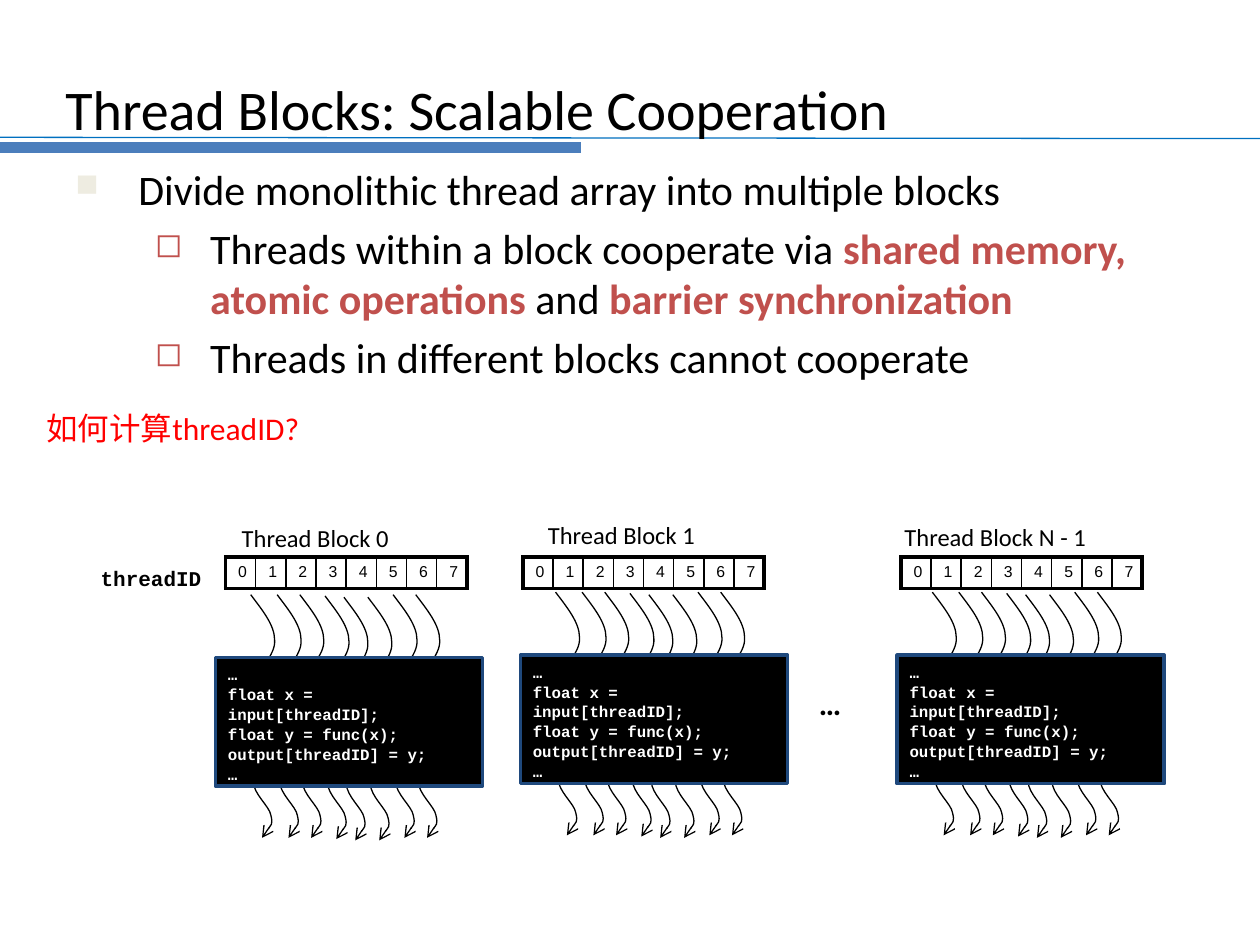
from dataclasses import dataclass

import pptx
import pptx.dml.color
import pptx.enum.shapes
import pptx.enum.text
import pptx.oxml.ns
import pptx.util
from lxml import etree

Inches = pptx.util.Inches
Pt = pptx.util.Pt
qn = pptx.oxml.ns.qn

BLACK, WHITE, RED, ACCENT = "000000", "FFFFFF", "FF0000", "C0504D"
THREADS = 8
CODE = "\n".join([
    "…",
    "float x = input[threadID];",
    "float y = func(x);",
    "output[threadID] = y;",
    "…",
])
THREAD_STARTS = [(0, 0), (0.21, 0), (0.39, 0), (0.59, 0.01),
                 (0.74, 0.02), (0.93, 0.02), (1.13, 0), (1.31, 0)]
THREAD_CURVE = [
    (0.09, 0.12), (0.19, 0.24), (0.19, 0.36),
    (0.2, 0.49), (0.04, 0.6), (0.03, 0.73),
    (0.02, 0.86), (0.16, 1.02), (0.16, 1.15),
    (0.15, 1.27), (0.01, 1.38), (0.02, 1.48),
    (0.02, 1.58), (0.15, 1.68), (0.16, 1.75),
    (0.18, 1.83), (0.11, 1.9), (0.09, 1.93),
]


@dataclass
class ThreadBlock:
    label: str
    label_left: float
    label_top: float
    ids_left: float
    code_left: float
    code_top: float


@dataclass
class Bullet:
    sign: str
    sign_color: str
    sign_size: int
    margin: float
    indent: float
    level: int
    phrases: list[tuple[str, bool]]


BLOCKS = [
    ThreadBlock("Thread Block 0", 1.82, 4.1, 1.79, 1.71, 5.22),
    ThreadBlock("Thread Block 1", 4.25, 4.08, 4.15, 4.13, 5.2),
    ThreadBlock("Thread Block N - 1", 7.08, 4.09, 7.15, 7.12, 5.2),
]


def main_point(text: str) -> Bullet:
    return Bullet("■", "EEECE1", 75, 0.5, -0.5, 0, [(text, False)])


def sub_point(*phrases: tuple[str, bool]) -> Bullet:
    return Bullet("◻", ACCENT, 80, 1.07, -0.44, 1, list(phrases))


BULLETS = [
    main_point("Divide monolithic thread array into multiple blocks"),
    sub_point(("Threads within a block cooperate via ", False),
              ("shared memory, atomic operations ", True),
              ("and ", False),
              ("barrier synchronization", True)),
    sub_point(("Threads in different blocks cannot cooperate", False)),
]


def rgb(color: str) -> pptx.dml.color.RGBColor:
    return pptx.dml.color.RGBColor.from_string(color)


def style(font, size: float, color: str, name: str = "Calibri", bold: bool = False) -> None:
    font.size, font.name, font.bold = Pt(size), name, bold
    font.color.rgb = rgb(color)


def add_text(slide, text: str, box: tuple, size: float, color: str = BLACK,
             name: str = "Calibri", bold: bool = False, wrap: bool = False):
    frame = slide.shapes.add_textbox(*map(Inches, box)).text_frame
    frame.word_wrap = wrap
    frame.text = text
    style(frame.paragraphs[0].runs[0].font, size, color, name, bold)
    return frame


def add_rule(slide, start: tuple, end: tuple, color: str, width: float) -> None:
    rule = slide.shapes.add_connector(
        pptx.enum.shapes.MSO_CONNECTOR.STRAIGHT, *map(Inches, start + end))
    rule.line.color.rgb = rgb(color)
    rule.line.width = Pt(width)
    etree.SubElement(rule._element.spPr, qn("a:effectLst"))


def add_bullets(slide, box: tuple, bullets: list[Bullet]) -> None:
    frame = slide.shapes.add_textbox(*map(Inches, box)).text_frame
    frame.word_wrap = True
    for index, bullet in enumerate(bullets):
        point = frame.add_paragraph() if index else frame.paragraphs[0]
        point.level = bullet.level
        if index:
            point.space_before = Pt(4.8)
        properties = point._p.get_or_add_pPr()
        properties.set("marL", str(Inches(bullet.margin)))
        properties.set("indent", str(Inches(bullet.indent)))
        sign_color = etree.SubElement(properties, qn("a:buClr"))
        etree.SubElement(sign_color, qn("a:srgbClr"), val=bullet.sign_color)
        etree.SubElement(properties, qn("a:buSzPct"), val=str(bullet.sign_size * 1000))
        etree.SubElement(properties, qn("a:buChar"), char=bullet.sign)
        for text, strong in bullet.phrases:
            phrase = point.add_run()
            phrase.text = text
            style(phrase.font, 24, ACCENT if strong else BLACK, bold=strong)


def add_thread(slide, left: float, top: float) -> None:
    builder = slide.shapes.build_freeform(Inches(left), Inches(top))
    builder.add_line_segments(
        [(Inches(left + x), Inches(top + y)) for x, y in THREAD_CURVE], close=False)
    thread = builder.convert_to_shape()
    thread.shadow.inherit = False
    thread.fill.background()
    thread.line.color.rgb = rgb(BLACK)
    thread.line.width = Pt(0.75)
    etree.SubElement(thread._element.spPr.find(qn("a:ln")), qn("a:tailEnd"), type="arrow")
    outline = next(thread._element.iter(qn("a:path")))
    steps = outline.findall(qn("a:lnTo"))
    for first in range(0, len(steps), 3):
        curve = etree.SubElement(outline, qn("a:cubicBezTo"))
        for step in steps[first:first + 3]:
            curve.append(step[0])
            outline.remove(step)


def add_code(slide, left: float, top: float) -> None:
    code = slide.shapes.add_shape(pptx.enum.shapes.MSO_SHAPE.RECTANGLE,
                                  *map(Inches, (left, top, 2.12, 1.02)))
    code.shadow.inherit = False
    code.fill.solid()
    code.fill.fore_color.rgb = rgb(BLACK)
    code.line.color.rgb = rgb("1F497D")
    code.line.width = Pt(2)
    frame = code.text_frame
    frame.word_wrap = True
    frame.vertical_anchor = pptx.enum.text.MSO_ANCHOR.TOP
    frame.text = CODE
    for statement in frame.paragraphs:
        statement.alignment = pptx.enum.text.PP_ALIGN.LEFT
        statement.line_spacing = 1.05
        style(statement.runs[0].font, 9, WHITE, "Courier New", True)


def set_border(cell, side: str, width: float) -> None:
    border = etree.SubElement(cell._tc.get_or_add_tcPr(), qn(f"a:ln{side}"), w=str(Pt(width)))
    fill = etree.SubElement(border, qn("a:solidFill"))
    etree.SubElement(fill, qn("a:srgbClr"), val=BLACK)


def add_thread_ids(slide, left: float) -> None:
    ids = slide.shapes.add_table(
        1, THREADS, *map(Inches, (left, 4.42, 1.82, 0.25))).table
    ids.first_row = ids.horz_banding = False
    for number, cell in enumerate(ids.iter_cells()):
        cell.text = str(number)
        style(cell.text_frame.paragraphs[0].runs[0].font, 9, BLACK, "Arial")
        set_border(cell, "L", 2.25 if number == 0 else 1)
        set_border(cell, "R", 2.25 if number == THREADS - 1 else 1)
        set_border(cell, "T", 2.25)
        set_border(cell, "B", 2.25)
        cell.fill.background()


def add_block(slide, block: ThreadBlock) -> None:
    for x, y in THREAD_STARTS:
        add_thread(slide, block.code_left + 0.28 + x, block.code_top - 0.5 + y)
    add_code(slide, block.code_left, block.code_top)
    add_text(slide, block.label, (block.label_left, block.label_top, 1.52, 0.33)
             if len(block.label) < 15 else (block.label_left, block.label_top, 1.82, 0.33), 14)
    add_thread_ids(slide, block.ids_left)


def main() -> None:
    deck = pptx.Presentation()
    deck.slide_width, deck.slide_height = Inches(10), Inches(7.5)
    slide = deck.slides.add_slide(deck.slide_layouts[6])
    add_rule(slide, (0, 1.09), (10, 1.1), "0070C0", 0.75)
    add_rule(slide, (0, 1.17), (4.61, 1.17), "4B7EBC", 6)
    title = add_text(slide, "Thread Blocks: Scalable Cooperation",
                     (0.42, 0.54, 9.42, 0.63), 32, wrap=True)
    title.vertical_anchor = pptx.enum.text.MSO_ANCHOR.MIDDLE
    add_bullets(slide, (0.5, 1.25, 9.42, 2.92), BULLETS)
    add_text(slide, "如何计算threadID?", (0.27, 3.2, 2.76, 1.03), 18, RED, wrap=True)
    add_text(slide, "threadID", (0.7, 4.44, 1.01, 0.3), 12, name="Courier New", bold=True)
    add_text(slide, "…", (6.4, 5.38, 0.59, 0.57), 18, bold=True)
    for block in BLOCKS:
        add_block(slide, block)
    deck.save("out.pptx")


if __name__ == "__main__":
    main()
